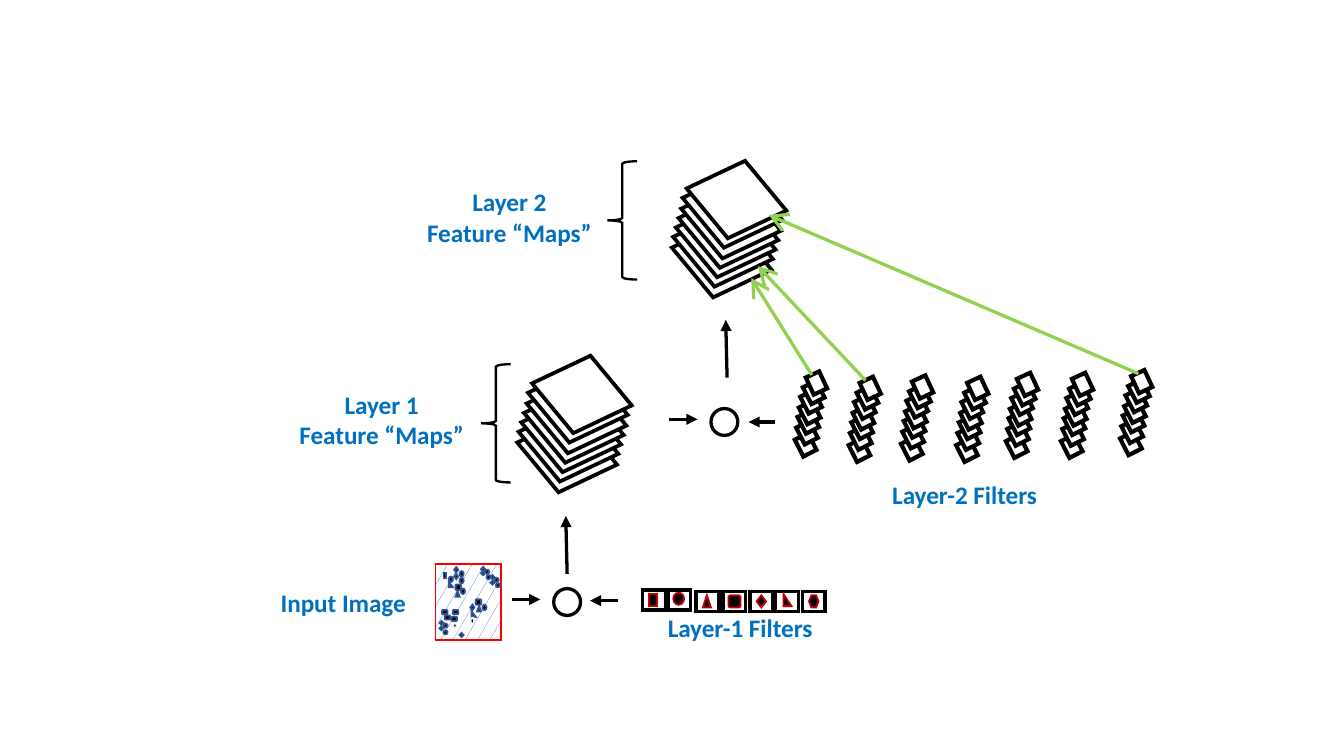
from dataclasses import dataclass

from lxml import etree
from pptx import Presentation
from pptx.dml.color import RGBColor
from pptx.enum.dml import MSO_PATTERN
from pptx.enum.shapes import MSO_CONNECTOR, MSO_SHAPE
from pptx.enum.text import MSO_AUTO_SIZE, PP_ALIGN
from pptx.oxml.ns import qn
from pptx.util import Inches, Pt

RECTANGLE = MSO_SHAPE.RECTANGLE
ROUNDED = MSO_SHAPE.ROUNDED_RECTANGLE
DIAMOND = MSO_SHAPE.DIAMOND
ELLIPSE = MSO_SHAPE.OVAL
TRIANGLE = MSO_SHAPE.ISOSCELES_TRIANGLE
RIGHT_TRIANGLE = MSO_SHAPE.RIGHT_TRIANGLE
HEXAGON = MSO_SHAPE.HEXAGON
BRACE = MSO_SHAPE.LEFT_BRACE
STRAIGHT = MSO_CONNECTOR.STRAIGHT
SMALL_CONFETTI = MSO_PATTERN.SMALL_CONFETTI
FIT_SHAPE = MSO_AUTO_SIZE.SHAPE_TO_FIT_TEXT
CENTER = PP_ALIGN.CENTER


@dataclass(frozen=True)
class Theme:
    font: str = "Calibri"
    label_size: float = 13.5
    label: str = "0070C0"
    black: str = "000000"
    white: str = "FFFFFF"
    image_border: str = "FF0000"
    confetti: str = "4472C4"
    feature_line: str = "325491"
    pale_line: str = "F2F2F2"
    filter_line: str = "C00000"
    link: str = "92D050"


theme = Theme()


def add_figure(shapes, kind, box, fill, line, width, rotation=0):
    shape = shapes.add_shape(kind, *[Inches(value) for value in box])
    shape.shadow.inherit = False
    shape.rotation = rotation
    if fill:
        shape.fill.solid()
        shape.fill.fore_color.rgb = RGBColor.from_string(fill)
    else:
        shape.fill.background()
    shape.line.color.rgb = RGBColor.from_string(line)
    shape.line.width = Pt(width)
    etree.SubElement(shape.line._get_or_add_ln(), qn("a:miter"), lim="800000")
    return shape


def add_arrow(shapes, start, end, color, head, size):
    points = [Inches(value) for value in (*start, *end)]
    arrow = shapes.add_connector(STRAIGHT, *points)
    arrow.line.color.rgb = RGBColor.from_string(color)
    arrow.line.width = Pt(1.75)
    etree.SubElement(arrow.line._get_or_add_ln(), qn("a:tailEnd"),
                     type=head, w=size, len=size)
    etree.SubElement(arrow._element.spPr, qn("a:effectLst"))


presentation = Presentation()
presentation.slide_width = Inches(10)
presentation.slide_height = Inches(10 * 9 / 16)
slide = presentation.slides.add_slide(presentation.slide_layouts[6])
shapes = slide.shapes

input_image = shapes.add_group_shape().shapes
frame = add_figure(input_image, RECTANGLE, (3.24, 4.2, 0.49, 0.56),
                   theme.white, theme.image_border, 1)
frame.fill.patterned()
frame.fill.pattern = SMALL_CONFETTI
frame.fill.fore_color.rgb = RGBColor.from_string(theme.confetti)
frame.fill.back_color.rgb = RGBColor.from_string(theme.white)

image_features = [
    (DIAMOND, 0.03, 0.04, [(3.38, 4.22), (3.38, 4.27), (3.5, 4.5)]),
    (ELLIPSE, 0.03, 0.04, [(3.42, 4.25), (3.42, 4.3), (3.34, 4.29),
                           (3.43, 4.38), (3.59, 4.5)]),
    (RECTANGLE, 0.02, 0.04, [(3.3, 4.26)]),
    (RIGHT_TRIANGLE, 0.03, 0.04, [(3.34, 4.33), (3.51, 4.55)]),
    (ROUNDED, 0.04, 0.04, [(3.39, 4.35), (3.54, 4.46)]),
    (TRIANGLE, 0.03, 0.04, [(3.39, 4.4), (3.55, 4.51)]),
    (HEXAGON, 0.03, 0.04, [(3.5, 4.6)]),
    (ROUNDED, 0.04, 0.03, [(3.29, 4.54), (3.31, 4.58), (3.36, 4.59),
                           (3.37, 4.54)]),
    (DIAMOND, 0.03, 0.03, [(3.27, 4.62), (3.27, 4.66), (3.42, 4.71),
                           (3.58, 4.22), (3.58, 4.25), (3.65, 4.28),
                           (3.65, 4.32)]),
    (ELLIPSE, 0.03, 0.03, [(3.3, 4.64), (3.3, 4.69), (3.61, 4.24),
                           (3.62, 4.28), (3.68, 4.3), (3.69, 4.34)]),
    (HEXAGON, 0.03, 0.03, [(3.37, 4.64)]),
]
for kind, width, height, places in image_features:
    line = theme.pale_line if kind == HEXAGON else theme.feature_line
    for left, top in places:
        add_figure(input_image, kind, (left, top, width, height),
                   theme.black, line, 1)

labels = [
    ("Input Image", 1.99, 4.32, 1.14, 0.33),
    ("Layer-1 Filters", 4.87, 4.51, 1.29, 0.33),
    ("Layer-2 Filters", 6.54, 3.52, 1.29, 0.33),
    ("Layer 1\nFeature “Maps”", 2.12, 2.85, 1.44, 0.56),
    ("Layer 2\nFeature “Maps”", 3.07, 1.34, 1.44, 0.56),
]
for text, *box in labels:
    text_frame = shapes.add_textbox(*[Inches(value) for value in box]).text_frame
    text_frame.word_wrap = False
    text_frame.auto_size = FIT_SHAPE
    text_frame.text = text
    for paragraph in text_frame.paragraphs:
        if "\n" in text:
            paragraph.alignment = CENTER
        for run in paragraph.runs:
            run.font.name = theme.font
            run.font.size = Pt(theme.label_size)
            run.font.bold = True
            run.font.color.rgb = RGBColor.from_string(theme.label)

map_offsets = [(0, 0), (0.01, 0.08), (0.03, 0.15), (0.05, 0.22),
               (0.07, 0.29), (0.08, 0.37), (0.11, 0.44)]
for left, top in [(3.84, 3.08), (4.99, 1.63)]:
    feature_maps = shapes.add_group_shape().shapes
    for right, up in map_offsets:
        add_figure(feature_maps, DIAMOND, (left + right, top - up, 0.76, 0.59),
                   theme.white if up else None, theme.black, 2, 12.5)

for left, top in [(3.58, 2.71), (4.52, 1.2)]:
    add_figure(shapes, BRACE, (left, top, 0.22, 0.88), None, theme.black, 1.25)

for left, top in [(4.12, 4.38), (5.29, 3.04)]:
    add_figure(shapes, ELLIPSE, (left, top, 0.2, 0.2), None, theme.black, 1.75)

layer_1_filters = [
    (RECTANGLE, 4.78, 4.39, 4.83, 4.42, 0.06),
    (ELLIPSE, 4.97, 4.39, 5.01, 4.41, 0.08),
    (TRIANGLE, 5.18, 4.4, 5.23, 4.43, 0.06),
    (ROUNDED, 5.38, 4.4, 5.42, 4.43, 0.09),
    (DIAMOND, 5.58, 4.4, 5.63, 4.43, 0.07),
    (RIGHT_TRIANGLE, 5.77, 4.4, 5.83, 4.42, 0.06),
    (HEXAGON, 5.97, 4.4, 6.02, 4.43, 0.07),
]
for kind, left, top, symbol_left, symbol_top, symbol_width in layer_1_filters:
    add_figure(shapes, RECTANGLE, (left, top, 0.17, 0.15),
               theme.white, theme.black, 1.75)
    add_figure(shapes, kind, (symbol_left, symbol_top, symbol_width, 0.09),
               theme.black, theme.filter_line, 1)

filter_offsets = [(0, 0, 333), (0.01, 0.09, 333), (0.02, 0.17, 333),
                  (0.03, 0.24, 333), (0.04, 0.32, 333), (0.06, 0.39, 333),
                  (0.08, 0.46, 335)]
layer_2_filters = [(5.94, 3.24), (6.34, 3.28), (6.73, 3.27), (7.14, 3.28),
                   (7.51, 3.25), (7.92, 3.25), (8.36, 3.23)]
for left, top in layer_2_filters:
    for right, up, rotation in filter_offsets:
        add_figure(shapes, RECTANGLE, (left + right, top - up, 0.11, 0.14),
                   theme.white, theme.black, 2.25, rotation)

flow_arrows = [
    ((3.81, 4.46), (4.02, 4.46)),
    ((4.6, 4.47), (4.39, 4.47)),
    ((4.22, 4.27), (4.21, 3.84)),
    ((4.98, 3.12), (5.19, 3.12)),
    ((5.77, 3.14), (5.57, 3.14)),
    ((5.41, 2.81), (5.4, 2.38)),
]
for start, end in flow_arrows:
    add_arrow(shapes, start, end, theme.black, "triangle", "med")

filter_links = [
    ((6.44, 2.83), (5.64, 1.98)),
    ((6.04, 2.79), (5.59, 2.07)),
    ((8.47, 2.78), (5.72, 1.6)),
]
for start, end in filter_links:
    add_arrow(shapes, start, end, theme.link, "arrow", "lg")

presentation.save("out.pptx")
